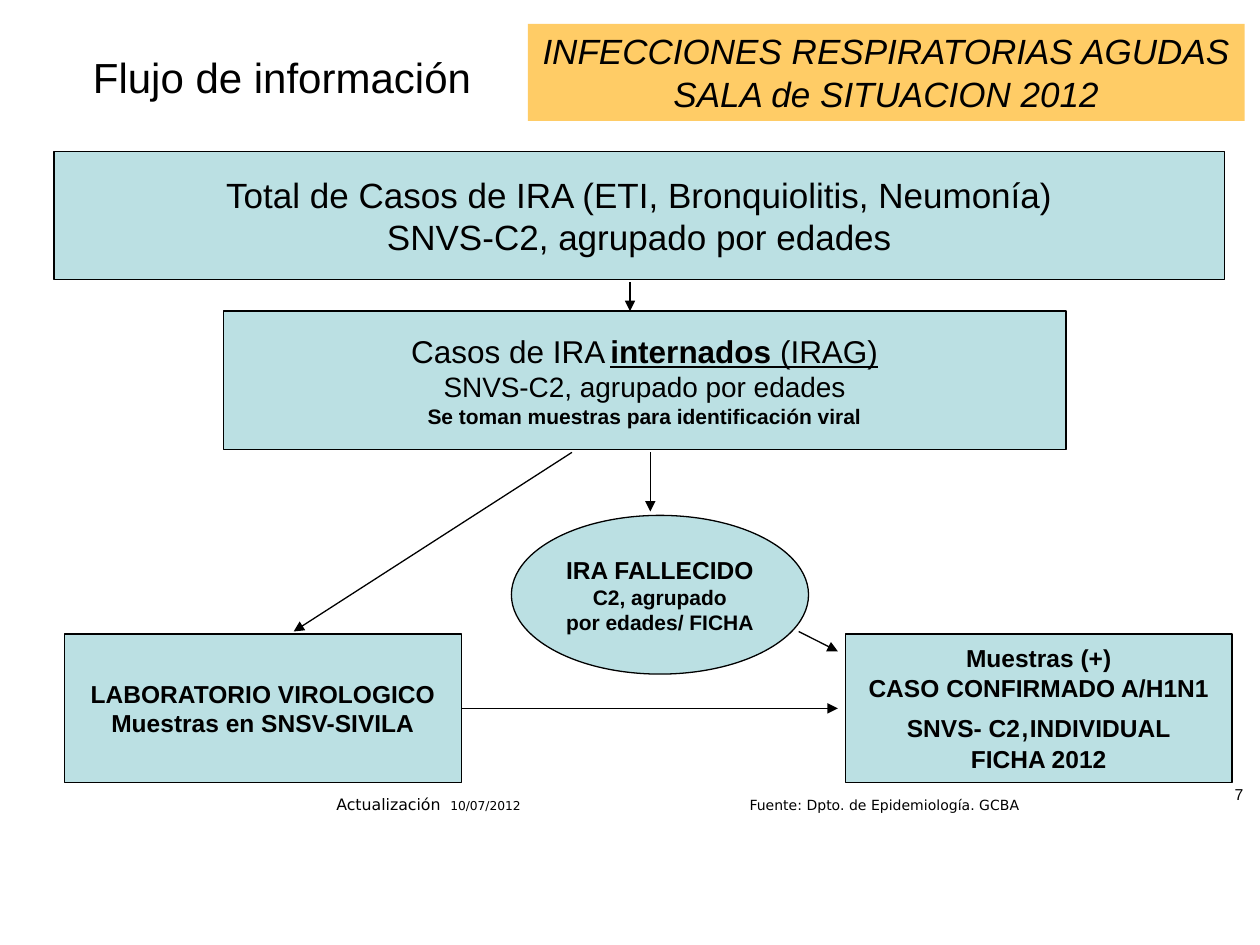
"""Build the slide that shows how respiratory infection cases are reported."""
from lxml.etree import SubElement
from pptx import Presentation
from pptx.dml.color import RGBColor
from pptx.enum.shapes import MSO_CONNECTOR, MSO_SHAPE
from pptx.enum.text import MSO_ANCHOR, MSO_AUTO_SIZE, PP_ALIGN
from pptx.oxml.ns import qn
from pptx.util import Cm, Pt

BLACK = RGBColor(0x00, 0x00, 0x00)
PALE_BLUE = RGBColor(0xBB, 0xE0, 0xE3)
ORANGE = RGBColor(0xFF, 0xCC, 0x66)


class FlowSlide:
    """Hold the style and the current slide."""

    def __init__(self, presentation):
        """Add a slide with a title only."""
        self.slide = presentation.slides.add_slide(presentation.slide_layouts[5])

    def style(self, font, size, bold=False, italic=False, underline=False, name="Arial"):
        """Format the font of a paragraph or a run."""
        font.name = name
        font.size = Pt(size)
        font.bold = bold
        font.italic = italic
        font.underline = underline
        font.color.rgb = BLACK

    def fill_text(self, frame, lines, alignment=PP_ALIGN.CENTER, anchor=MSO_ANCHOR.TOP,
                  wrap=False, tab=None, name="Arial"):
        """Fill a text frame; a line is (text, size, options) or a list of such runs."""
        frame.word_wrap = wrap
        frame.vertical_anchor = anchor
        frame.auto_size = MSO_AUTO_SIZE.NONE
        for index, line in enumerate(lines):
            paragraph = frame.add_paragraph() if index else frame.paragraphs[0]
            paragraph.alignment = alignment
            if tab:
                tabs = SubElement(paragraph._p.get_or_add_pPr(), qn("a:tabLst"))
                SubElement(tabs, qn("a:tab"), pos=str(Cm(tab)), algn="l")
            if isinstance(line, list):
                for text, size, options in line:
                    run = paragraph.add_run()
                    run.text = text
                    self.style(run.font, size, name=name, **options)
            else:
                text, size, options = line
                paragraph.add_run().text = text
                self.style(paragraph.font, size, name=name, **options)

    def title(self, text, left, top, width, height):
        """Move and fill the title placeholder."""
        shape = self.slide.shapes.title
        shape.left, shape.top, shape.width, shape.height = map(Cm, (left, top, width, height))
        self.fill_text(shape.text_frame, [(text, 24, {})], wrap=True)

    def box(self, lines, left, top, width, height, kind=MSO_SHAPE.RECTANGLE):
        """Add an outlined box of the flow."""
        shape = self.slide.shapes.add_shape(kind, *map(Cm, (left, top, width, height)))
        shape.shadow.inherit = False
        shape.fill.solid()
        shape.fill.fore_color.rgb = PALE_BLUE
        shape.line.color.rgb = BLACK
        shape.line.width = Pt(0.75)
        self.fill_text(shape.text_frame, lines, anchor=MSO_ANCHOR.MIDDLE)
        return shape

    def banner(self, lines, left, top, width, height):
        """Add a filled banner without outline."""
        shape = self.box(lines, left, top, width, height)
        shape.fill.fore_color.rgb = ORANGE
        shape.line.fill.background()
        shape.text_frame.vertical_anchor = MSO_ANCHOR.TOP

    def label(self, line, left, top, width, height, **options):
        """Add a small text box."""
        shape = self.slide.shapes.add_textbox(*map(Cm, (left, top, width, height)))
        self.fill_text(shape.text_frame, [line], PP_ALIGN.LEFT, **options)

    def arrow(self, start_x, start_y, end_x, end_y, source=None):
        """Add an arrow, joined to the right side of a source box if given."""
        connector = self.slide.shapes.add_connector(
            MSO_CONNECTOR.STRAIGHT, *map(Cm, (start_x, start_y, end_x, end_y)))
        if source is not None:
            connector.begin_connect(source, 3)
        connector.line.color.rgb = BLACK
        connector.line.width = Pt(0.75)
        SubElement(connector.line._get_or_add_ln(), qn("a:tailEnd"), type="triangle")
        SubElement(connector._element.spPr, qn("a:effectLst"))


def main():
    """Build and save the presentation."""
    presentation = Presentation()
    presentation.slide_width, presentation.slide_height = Cm(25.4), Cm(19.05)
    flow = FlowSlide(presentation)
    bold = {"bold": True}
    italic = {"italic": True}

    flow.title("Flujo de información", 1.09, 0.91, 9.19, 1.8)
    flow.box([("Total de Casos de IRA (ETI, Bronquiolitis, Neumonía)", 20, {}),
              ("SNVS-C2, agrupado por edades", 20, {})], 1.09, 3.05, 23.6, 2.59)
    flow.box([[("Casos de IRA", 18, {}), (" ", 10, {}),
               ("internados", 18, {"bold": True, "underline": True}),
               (" (IRAG)", 18, {"underline": True})],
              ("SNVS-C2, agrupado por edades", 16, {}),
              ("Se toman muestras para identificación viral", 12, bold)],
             4.5, 6.27, 16.99, 2.79)
    laboratory = flow.box([("LABORATORIO VIROLOGICO", 14, bold),
                           ("Muestras en SNSV-SIVILA", 14, bold)], 1.3, 12.78, 8, 3)
    flow.box([("Muestras (+)", 14, bold),
              ("CASO CONFIRMADO A/H1N1", 14, bold),
              [("SNVS- C2", 14, bold), (",", 20, {}), ("INDIVIDUAL", 14, bold)],
              ("FICHA 2012", 14, bold)], 17.04, 12.78, 7.8, 3)
    flow.box([("IRA FALLECIDO", 14, bold),
              ("C2, agrupado", 12, bold),
              ("por edades/ FICHA", 12, bold)], 10.31, 10.39, 5.99, 3.2, MSO_SHAPE.OVAL)

    flow.arrow(12.7, 5.69, 12.7, 6.27)
    flow.arrow(11.53, 9.12, 5.92, 12.73)
    flow.arrow(9.3, 14.28, 16.89, 14.28, laboratory)
    flow.arrow(13.11, 9.12, 13.11, 10.31)
    flow.arrow(16.1, 12.73, 16.89, 13.13)

    flow.banner([("INFECCIONES RESPIRATORIAS AGUDAS", 20, italic),
                 ("SALA de SITUACION 2012", 20, italic)], 10.64, 0.48, 14.45, 1.96)
    flow.label([("Actualización\t", 9, {}), ("10/07/2012", 7, {})],
               6.53, 15.9, 6.83, 0.64, wrap=True, tab=2.3, name="DejaVu Sans")
    flow.label(("Fuente: Dpto. de Epidemiología. GCBA", 8, {}),
               14.86, 15.93, 8.74, 0.61, wrap=True, name="DejaVu Sans")
    flow.label(("7", 9, {}), 24.64, 15.7, 0.69, 0.64)
    presentation.save("out.pptx")


if __name__ == "__main__":
    main()
